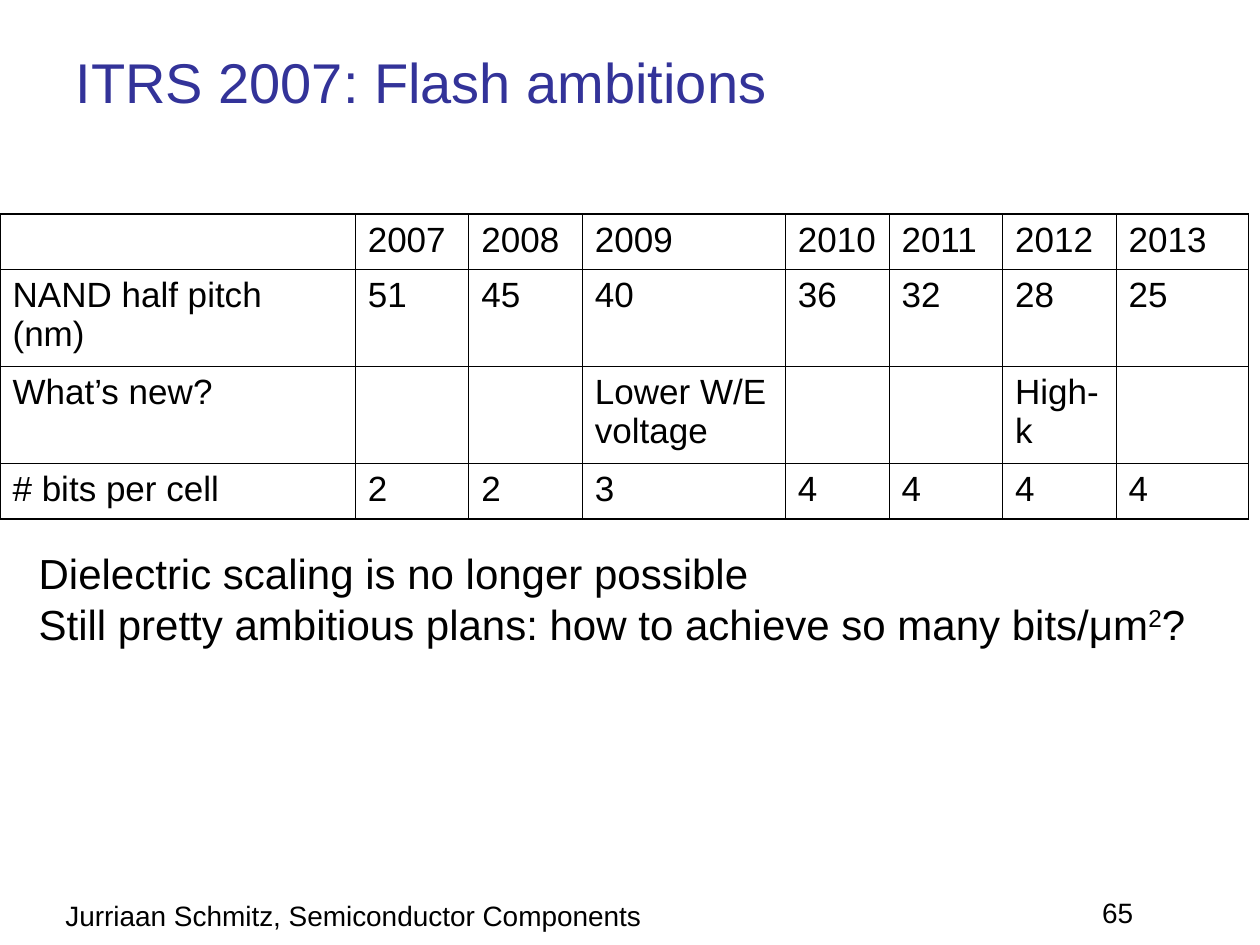
import pptx
import pptx.dml.color
import pptx.enum.text
import pptx.oxml
import pptx.oxml.ns
import pptx.util
from pptx.util import Cm

COLORS = {"title": "333399", "text": "000000", "border": "000000", "cell": "FFFFFF"}
FONT = "Arial"
COLUMNS = [7.16, 2.29, 2.29, 4.09, 2.09, 2.29, 2.29, 2.67]
ROWS = [1.11, 1.96, 1.96, 1.11]
FLASH = [
    ["", "2007", "2008", "2009", "2010", "2011", "2012", "2013"],
    ["NAND half pitch (nm)", "51", "45", "40", "36", "32", "28", "25"],
    ["What’s new?", "", "", "Lower W/E voltage", "", "", "High-k", ""],
    ["# bits per cell", "2", "2", "3", "4", "4", "4", "4"],
]
REMARKS = [
    [("Dielectric scaling is no longer possible", 0)],
    [("Still pretty ambitious plans: how to achieve so many bits/μm", 0), ("2", 30), ("?", 0)],
]


def rgb(name):
    return pptx.dml.color.RGBColor.from_string(COLORS[name])


def add_run(p, text, size, color="text", raised=0):
    r = p.add_run()
    r.text = text
    r.font.name = FONT
    r.font.size = pptx.util.Pt(size)
    r.font.color.rgb = rgb(color)
    if raised:
        r.font._element.set("baseline", str(raised * 1000))


def add_title(slide, box, text):
    sp = slide.shapes.title
    sp.left, sp.top, sp.width, sp.height = box
    tf = sp.text_frame
    tf.vertical_anchor = pptx.enum.text.MSO_ANCHOR.MIDDLE
    p = tf.paragraphs[0]
    p.alignment = pptx.enum.text.PP_ALIGN.LEFT
    add_run(p, text, 32, "title")


def add_text(slide, box, paragraphs, size):
    tf = slide.shapes.add_textbox(*box).text_frame
    tf.word_wrap = True
    for i, runs in enumerate(paragraphs):
        p = tf.add_paragraph() if i else tf.paragraphs[0]
        for text, raised in runs:
            add_run(p, text, size, raised=raised)


def set_borders(cell, widths):
    tcPr = cell._tc.get_or_add_tcPr()
    for i, side in enumerate("LRTB"):
        ln = pptx.oxml.parse_xml(
            f'<a:ln{side} {pptx.oxml.ns.nsdecls("a")} w="{pptx.util.Pt(widths[side])}">'
            f'<a:solidFill><a:srgbClr val="{COLORS["border"]}"/></a:solidFill></a:ln{side}>')
        tcPr.insert(i, ln)


def add_flash_table(slide, left, top):
    width, height = Cm(sum(COLUMNS)), Cm(sum(ROWS))
    table = slide.shapes.add_table(len(ROWS), len(COLUMNS), left, top, width, height).table
    table.first_row = table.horz_banding = False
    for column, size in zip(table.columns, COLUMNS):
        column.width = Cm(size)
    last_row, last_column = len(ROWS) - 1, len(COLUMNS) - 1
    for i, values in enumerate(FLASH):
        table.rows[i].height = Cm(ROWS[i])
        for j, value in enumerate(values):
            cell = table.cell(i, j)
            cell.fill.solid()
            cell.fill.fore_color.rgb = rgb("cell")
            outer = {"L": j == 0, "R": j == last_column, "T": i == 0, "B": i == last_row}
            set_borders(cell, {side: 1.08 if edge else 0.45 for side, edge in outer.items()})
            if value:
                p = cell.text_frame.paragraphs[0]
                p.space_before = pptx.util.Pt(5)
                add_run(p, value, 20)


def add_footer(slide, left, top):
    author = [[("Jurriaan Schmitz, Semiconductor Components", 0)]]
    add_text(slide, (left, top + Cm(0.05), Cm(12.4), Cm(0.94)), author, 16)
    add_text(slide, (left + Cm(20.9), top, Cm(3.07), Cm(0.94)), [[("65", 0)]], 16)


prs = pptx.Presentation()
prs.slide_width, prs.slide_height = Cm(25.4), Cm(19.05)
slide = prs.slides.add_slide(prs.slide_layouts[5])
add_footer(slide, Cm(1.07), Cm(17.93))
add_title(slide, (Cm(1.27), Cm(0.76), Cm(22.86), Cm(1.75)), "ITRS 2007: Flash ambitions")
add_flash_table(slide, Cm(0), Cm(4.32))
add_text(slide, (Cm(0.53), Cm(10.92), Cm(23.9), Cm(2.29)), REMARKS, 24)
prs.save("out.pptx")
